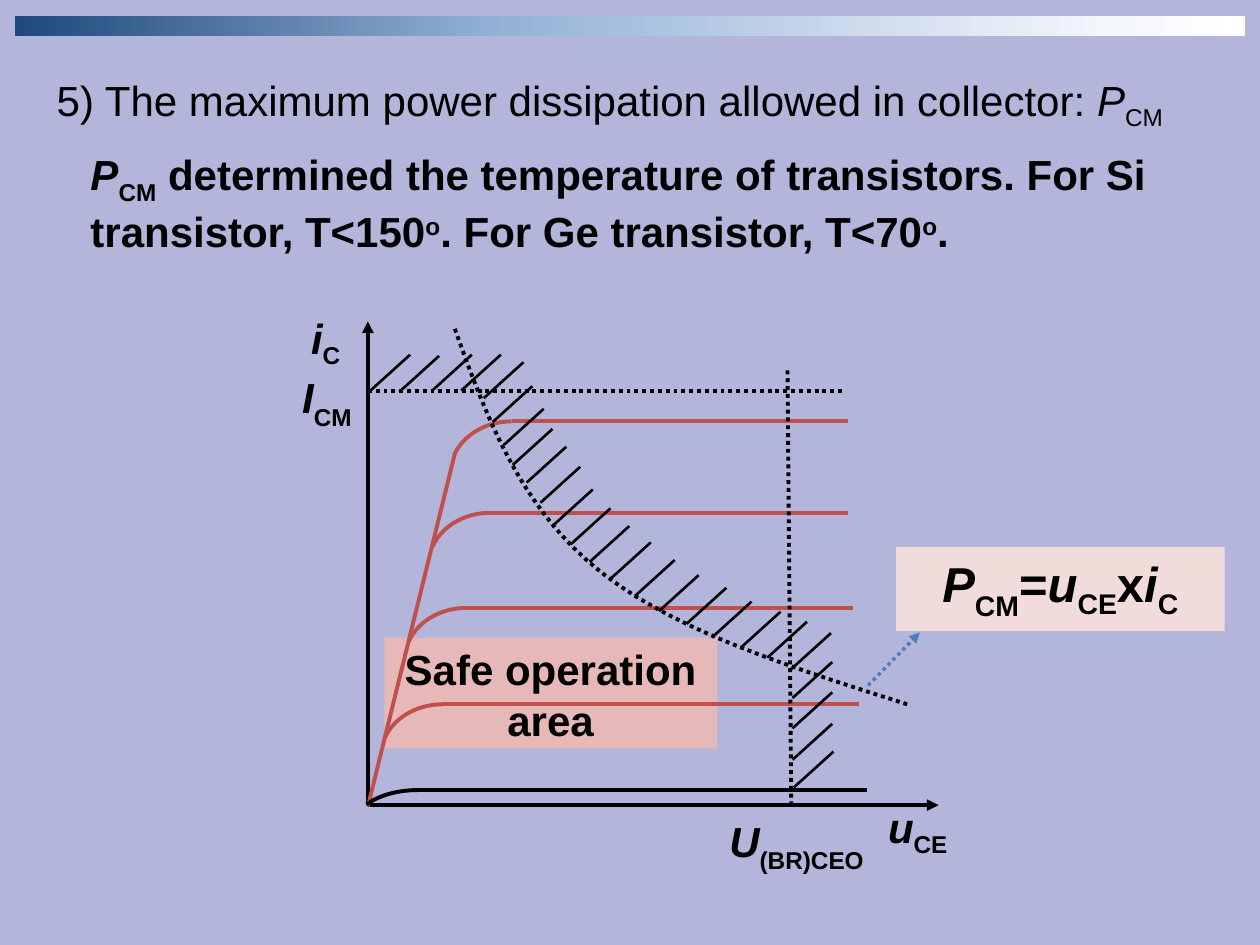
from dataclasses import dataclass

from lxml.etree import SubElement
from pptx import Presentation
from pptx.dml.color import RGBColor
from pptx.enum.dml import MSO_LINE
from pptx.enum.shapes import MSO_CONNECTOR, MSO_SHAPE
from pptx.enum.text import MSO_ANCHOR, MSO_AUTO_SIZE, PP_ALIGN
from pptx.oxml.ns import qn
from pptx.util import Inches, Pt

COLUMNS, ROWS = 100, 75


@dataclass(frozen=True)
class Theme:
    font: str = "Arial"
    ink: str = "000000"
    page: str = "B3B5DB"
    curve: str = "C0504D"
    pointer: str = "4B7EBC"
    safe_area: str = "E6B9B8"
    formula: str = "F2DCDB"
    bar: tuple = ((0, "1F497D"), (40, "95B3D7"), (89, "F4F7FC"), (100, "FFFFFF"))
    body_size: int = 24
    formula_size: int = 28
    axis_width: float = 2.25
    hatch_width: float = 1.5
    pointer_width: float = 2


def add_span(para, text, size, font, color, bold=False, italic=False, baseline=0):
    span = para.add_run()
    span.text = text
    span.font.name = font
    span.font.size = Pt(size)
    span.font.bold = bold
    span.font.italic = italic
    span.font.color.rgb = RGBColor.from_string(color)
    if baseline:
        span.font._element.set("baseline", str(baseline * 1000))


def symbol(letter, subscript, drop=-25):
    return [(letter, {"italic": True}), (subscript, {"baseline": drop})]


class SlideBuilder:
    def __init__(self, deck, theme):
        self.theme = theme
        self.column = deck.slide_width / COLUMNS
        self.row = deck.slide_height / ROWS
        self.slide = deck.slides.add_slide(deck.slide_layouts.get_by_name("Title Only"))
        self.shapes = self.slide.shapes
        background = self.slide.background.fill
        background.solid()
        background.fore_color.rgb = RGBColor.from_string(theme.page)

    def x(self, columns):
        return round(columns * self.column)

    def y(self, rows):
        return round(rows * self.row)

    def area(self, left, top, width, height):
        return self.x(left), self.y(top), self.x(width), self.y(height)

    def set_text(self, box, spans, size=None, bold=True, align=PP_ALIGN.LEFT, wrap=True):
        frame = box.text_frame
        frame.word_wrap = wrap
        frame.auto_size = MSO_AUTO_SIZE.NONE
        frame.vertical_anchor = MSO_ANCHOR.TOP
        para = frame.paragraphs[0]
        para.alignment = align
        for text, style in spans:
            add_span(para, text, size or self.theme.body_size, self.theme.font,
                     self.theme.ink, bold=bold, **style)

    def title(self, area, spans):
        box = self.shapes.title
        box.left, box.top, box.width, box.height = self.area(*area)
        self.set_text(box, spans, bold=False)

    def text(self, area, spans, **style):
        self.set_text(self.shapes.add_textbox(*self.area(*area)), spans, **style)

    def shape(self, kind, area):
        shape = self.shapes.add_shape(kind, *self.area(*area))
        shape.shadow.inherit = False
        shape.line.fill.background()
        return shape

    def panel(self, area, color, spans, **style):
        box = self.shape(MSO_SHAPE.RECTANGLE, area)
        box.fill.solid()
        box.fill.fore_color.rgb = RGBColor.from_string(color)
        self.set_text(box, spans, align=PP_ALIGN.CENTER, **style)

    def gradient_bar(self, area, stops):
        bar = self.shape(MSO_SHAPE.RECTANGLE, area)
        bar.fill.gradient()
        bar.fill.gradient_angle = 0
        stop_list = bar._element.spPr.find(qn("a:gradFill")).find(qn("a:gsLst"))
        for stop in list(stop_list):
            stop_list.remove(stop)
        for percent, color in stops:
            stop = SubElement(stop_list, qn("a:gs"), pos=str(percent * 1000))
            SubElement(stop, qn("a:srgbClr"), val=color)

    def stroke(self, line, color=None, width=None, dotted=False):
        line.color.rgb = RGBColor.from_string(color or self.theme.ink)
        line.width = Pt(width or self.theme.axis_width)
        if dotted:
            line.dash_style = MSO_LINE.ROUND_DOT

    def line(self, start, end, arrow=False, **style):
        connector = self.shapes.add_connector(
            MSO_CONNECTOR.STRAIGHT, self.x(start[0]), self.y(start[1]),
            self.x(end[0]), self.y(end[1]))
        self.stroke(connector.line, **style)
        properties = connector._element.spPr
        if arrow:
            SubElement(properties.find(qn("a:ln")), qn("a:tailEnd"), type="triangle")
        SubElement(properties, qn("a:effectLst"))

    def knee(self, area, **style):
        arc = self.shape(MSO_SHAPE.ARC, area)
        arc.adjustments[0], arc.adjustments[1] = 162, 204.745
        arc._element.spPr.find(qn("a:xfrm")).set("flipH", "1")
        arc.fill.background()
        self.stroke(arc.line, **style)

    def characteristic(self, left, top, end, height=8.4, **style):
        self.knee((left, top, 9.8, height), **style)
        self.line((left + 4.9, top), (end, top), **style)

    def curve(self, start, segments, steps=24, **style):
        points = []
        anchor = start
        for first, second, end in segments:
            for step in range(1, steps + 1):
                t = step / steps
                weights = (1 - t) ** 3, 3 * t * (1 - t) ** 2, 3 * t * t * (1 - t), t ** 3
                corners = anchor, first, second, end
                across, down = (sum(w * c[axis] for w, c in zip(weights, corners))
                                for axis in (0, 1))
                points.append((self.x(across), self.y(down)))
            anchor = end
        builder = self.shapes.build_freeform(self.x(start[0]), self.y(start[1]))
        builder.add_line_segments(points, close=False)
        outline = builder.convert_to_shape()
        outline.shadow.inherit = False
        outline.fill.background()
        self.stroke(outline.line, **style)


def main():
    deck = Presentation()
    deck.slide_width, deck.slide_height = Inches(10), Inches(7.5)
    theme = Theme()
    page = SlideBuilder(deck, theme)

    page.gradient_bar((1.2, 1.3, 97.6, 1.6), theme.bar)
    page.title((3.5, 5.4, 91.9, 9.7), [
        ("5) The maximum power dissipation allowed in collector: ", {}), *symbol("P", "CM")])
    degree = ("o", {"baseline": 30})
    page.text((6.2, 11.3, 91.3, 10.3), [
        *symbol("P", "CM"),
        (" determined the temperature of transistors. For Si transistor, T<150", {}), degree,
        (". For Ge transistor, T<70", {}), degree, (".", {})])

    page.panel((30.5, 50.6, 26.4, 8.8), theme.safe_area, [("Safe operation area", {})])
    origin = (29.2, 63.9)
    page.line(origin, (29.2, 25.5), arrow=True)
    page.line(origin, (74.5, 63.9), arrow=True)
    page.line((29.2, 64), (36.1, 36), color=theme.curve)
    for left, top, end in ((35.7, 33.45, 67.3), (34, 40.7, 67.3),
                           (32.1, 48.25, 67.7), (30.2, 55.9, 68.2)):
        page.characteristic(left, top, end, color=theme.curve)
    page.characteristic(28.3, 62.7, 68.8, height=5.1)

    page.line((29.2, 31), (67.1, 31), dotted=True)
    page.line((62.5, 29.4), (62.8, 64.1), dotted=True)
    page.curve((36.1, 26.1), [((38.6, 33.1), (41.2, 40), (47.2, 45)),
                              ((53.2, 50), (62.6, 52.9), (72, 55.9))], dotted=True)

    page.text((23.7, 24.3, 5.5, 5.9), symbol("i", "C"))
    page.text((69.5, 63.1, 8.3, 5.9), symbol("u", "CE"))
    page.text((23, 29, 7.6, 4.9), symbol("I", "CM", -30), wrap=False)
    page.text((56.9, 64.2, 15.9, 4.9), symbol("U", "(BR)CEO", -30), wrap=False)
    page.panel((71.1, 43.4, 26.1, 6.7), theme.formula, [
        *symbol("P", "CM", -30), ("=", {}), *symbol("u", "CE"), ("x", {}),
        *symbol("i", "C")], size=theme.formula_size)

    current_limit = [(29.4, 31), (31.7, 31.1), (34.3, 31), (36.6, 31)]
    power_limit = [(38.4, 31.6), (39.1, 33.5), (40, 35.3), (40.7, 36.9), (41.8, 38.3),
                   (42.9, 39.9), (43.9, 41.7), (45.3, 43.2), (46.8, 44.6), (48.5, 45.9),
                   (50.4, 47.3), (52.3, 48.5), (54.5, 49.5), (56.5, 50.6), (58.8, 51.4),
                   (60.9, 52.2), (62.8, 53.1)]
    voltage_limit = [(62.9, 55.4), (62.9, 57.8), (62.9, 60.3), (63, 62.5)]
    for left, bottom in current_limit + power_limit + voltage_limit:
        page.line((left, bottom), (left + 3.15, bottom - 2.85), width=theme.hatch_width)
    page.line((68.9, 54.4), (73, 50.2), arrow=True, color=theme.pointer,
              width=theme.pointer_width, dotted=True)

    deck.save("out.pptx")


if __name__ == "__main__":
    main()
